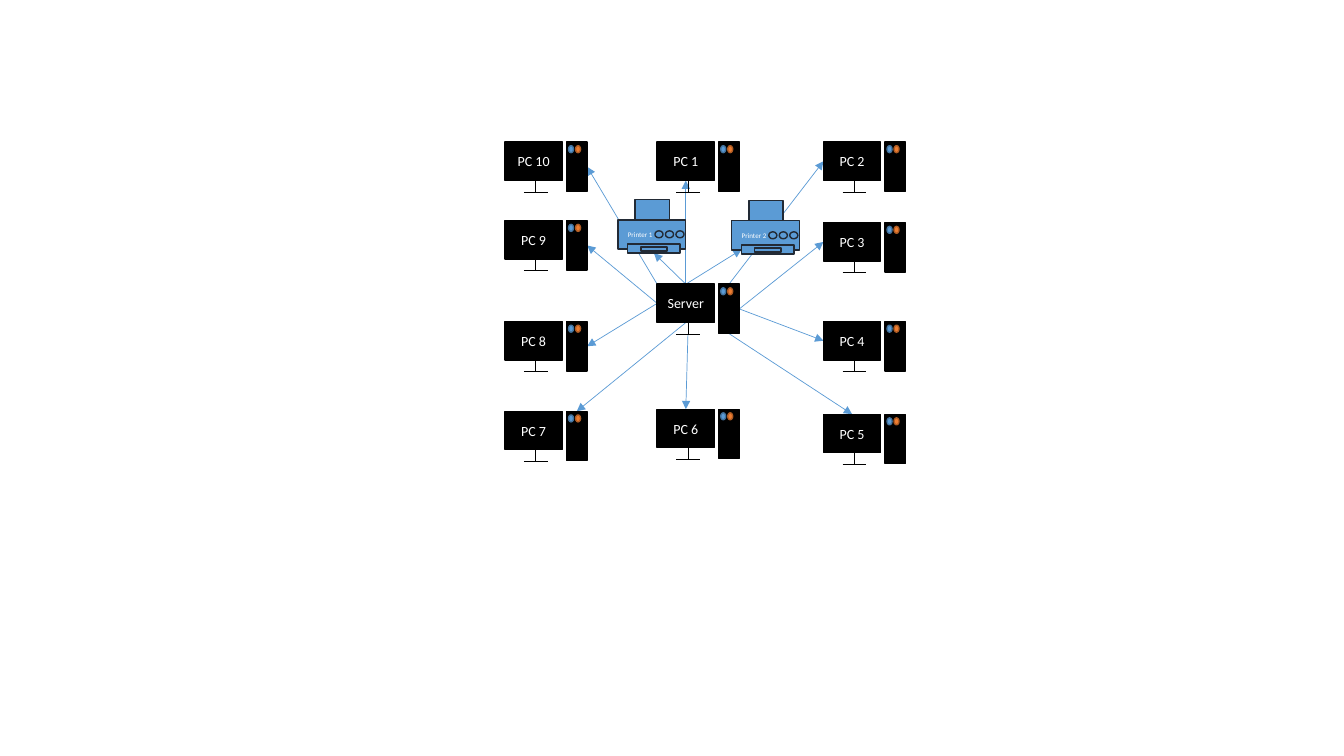
from dataclasses import dataclass
from typing import Any, Optional

from lxml.etree import SubElement
from pptx import Presentation
from pptx.dml.color import RGBColor
from pptx.enum.shapes import MSO_CONNECTOR as Line, MSO_SHAPE as Preset
from pptx.enum.text import MSO_ANCHOR as Anchor, PP_ALIGN as Align
from pptx.oxml.ns import qn
from pptx.shapes.autoshape import Shape
from pptx.shapes.connector import Connector
from pptx.util import Pt

BLACK = RGBColor(0x00, 0x00, 0x00)
WHITE = RGBColor(0xFF, 0xFF, 0xFF)
BLUE = RGBColor(0x5B, 0x9B, 0xD5)
DARK_BLUE = RGBColor(0x43, 0x73, 0x9E)
NAVY = RGBColor(0x22, 0x2A, 0x35)
ORANGE = RGBColor(0xED, 0x7D, 0x31)
BROWN = RGBColor(0xAF, 0x5C, 0x24)

TOP, LEFT, BOTTOM, RIGHT = range(4)
WEST, CENTRE, EAST = 360.7, 469.4, 588.2
SERVER_TOP = 203.0

SCREEN_FRAME = {"word_wrap": True, "vertical_anchor": Anchor.MIDDLE, "margin_left": 0, "margin_right": 0}
PRINTER_FRAME = {"word_wrap": True, "vertical_anchor": Anchor.MIDDLE}
SCREEN_FONT = {"name": "Calibri", "size": Pt(10)}
PRINTER_FONT = {"name": "Calibri", "size": Pt(5)}


@dataclass(frozen=True)
class Device:
    name: str
    x: float
    y: float


@dataclass(frozen=True)
class Box:
    x: float
    y: float
    width: float
    height: float


@dataclass(frozen=True)
class Paint:
    fill: RGBColor
    outline: RGBColor


@dataclass(frozen=True)
class Link:
    source: str
    source_side: Optional[int]
    target: str
    socket: str
    side: int
    x: float = 0
    y: float = 0


Pieces = dict[tuple[str, str], Shape]

CASE = Paint(BLACK, BLACK)
PLASTIC = Paint(BLUE, NAVY)

COMPUTERS = [
    Device("Server", CENTRE, SERVER_TOP),
    Device("PC 1", CENTRE, 101.5),
    Device("PC 2", EAST, 101.5),
    Device("PC 3", EAST, 159.1),
    Device("PC 4", EAST, 229.7),
    Device("PC 5", EAST, 295.9),
    Device("PC 6", CENTRE, 292.3),
    Device("PC 7", WEST, 293.8),
    Device("PC 8", WEST, 229.7),
    Device("PC 9", WEST, 157.7),
    Device("PC 10", WEST, 101.5),
]
PRINTERS = [Device("Printer 2", 522.7, 143.3), Device("Printer 1", 441.4, 142.6)]

LINKS = [
    Link("screen", TOP, "PC 1", "screen", BOTTOM),
    Link("tower", TOP, "PC 2", "screen", LEFT),
    Link("tower", RIGHT, "PC 3", "screen", LEFT),
    Link("tower", RIGHT, "PC 4", "screen", LEFT),
    Link("tower", BOTTOM, "PC 5", "screen", TOP),
    Link("base", None, "PC 6", "screen", TOP, CENTRE + 22, SERVER_TOP + 35.6),
    Link("screen", BOTTOM, "PC 7", "tower", TOP),
    Link("screen", LEFT, "PC 8", "tower", RIGHT),
    Link("screen", LEFT, "PC 9", "tower", RIGHT),
    Link("corner", None, "PC 10", "tower", RIGHT, CENTRE, SERVER_TOP),
    Link("screen", TOP, "Printer 1", "tray", BOTTOM),
    Link("screen", TOP, "Printer 2", "tray", LEFT),
]


def apply(target: Any, values: dict[str, Any]) -> None:
    for attribute, value in values.items():
        setattr(target, attribute, value)


def draw_piece(shapes: Any, device: Device, preset: Preset, box: Box, paint: Paint) -> Shape:
    piece = shapes.add_shape(preset, Pt(device.x + box.x), Pt(device.y + box.y),
                             Pt(box.width), Pt(box.height))
    piece.shadow.inherit = False
    piece.fill.solid()
    piece.fill.fore_color.rgb = paint.fill
    piece.line.color.rgb = paint.outline
    piece.line.width = Pt(1)
    return piece


def write_label(piece: Shape, label: str, frame: dict[str, Any], font: dict[str, Any], align: Align) -> None:
    apply(piece.text_frame, frame)
    paragraph = piece.text_frame.paragraphs[0]
    paragraph.alignment = align
    run = paragraph.add_run()
    run.text = label
    apply(run.font, font)
    run.font.color.rgb = WHITE


def draw_line(shapes: Any, start: tuple[float, float], end: tuple[float, float],
              color: RGBColor, arrow: bool = False) -> Connector:
    line = shapes.add_connector(Line.STRAIGHT, *map(Pt, start + end))
    line.line.color.rgb = color
    line.line.width = Pt(0.5)
    properties = line._element.spPr
    if arrow:
        SubElement(properties.find(qn("a:ln")), qn("a:tailEnd"), type="triangle")
    SubElement(properties, qn("a:effectLst"))
    return line


def draw_computer(slide_shapes: Any, computer: Device) -> Pieces:
    shapes = slide_shapes.add_group_shape().shapes
    screen = draw_piece(shapes, computer, Preset.RECTANGLE, Box(0, 0, 41, 27.4), CASE)
    write_label(screen, computer.name, SCREEN_FRAME, SCREEN_FONT, Align.CENTER)
    stand, floor = computer.x + 22, computer.y + 35.6
    draw_line(shapes, (stand, computer.y + 27.4), (stand, floor), BLACK)
    draw_line(shapes, (stand - 8.4, floor), (stand + 8.4, floor), BLACK)
    tower = draw_piece(shapes, computer, Preset.RECTANGLE, Box(43.9, 0, 14.8, 35.3), CASE)
    for light, paint in enumerate((Paint(BLUE, DARK_BLUE), Paint(ORANGE, BROWN))):
        draw_piece(shapes, computer, Preset.FLOWCHART_CONNECTOR,
                   Box(45.4 + 5 * light, 2.6, 3.6, 5), paint)
    return {(computer.name, "screen"): screen, (computer.name, "tower"): tower}


def draw_printer(slide_shapes: Any, printer: Device) -> Pieces:
    shapes = slide_shapes.add_group_shape().shapes
    paper, body, tray = (
        draw_piece(shapes, printer, Preset.FLOWCHART_PROCESS, box, PLASTIC)
        for box in (Box(12.2, 0, 24.5, 19.4), Box(0, 14.4, 48.2, 20.9), Box(7, 31.7, 37.4, 6.5))
    )
    write_label(body, printer.name, PRINTER_FRAME, PRINTER_FONT, Align.LEFT)
    for button in range(3):
        draw_piece(shapes, printer, Preset.FLOWCHART_CONNECTOR,
                   Box(26.4 + 7.5 * button, 22.3, 5.8, 5), PLASTIC)
    draw_piece(shapes, printer, Preset.FLOWCHART_PROCESS, Box(16.4, 33.8, 18.7, 2.9), PLASTIC)
    return {(printer.name, "tray"): tray}


def main() -> None:
    deck = Presentation()
    deck.slide_width, deck.slide_height = Pt(960), Pt(540)
    shapes = deck.slides.add_slide(deck.slide_layouts[6]).shapes

    cables = [draw_line(shapes, (link.x, link.y), (0, 0), BLUE, arrow=True) for link in LINKS]

    pieces: Pieces = {}
    for printer in PRINTERS:
        pieces.update(draw_printer(shapes, printer))
    for computer in COMPUTERS:
        pieces.update(draw_computer(shapes, computer))

    for cable, link in zip(cables, LINKS):
        if link.source_side is not None:
            cable.begin_connect(pieces["Server", link.source], link.source_side)
        cable.end_connect(pieces[link.target, link.socket], link.side)

    deck.save("out.pptx")


if __name__ == "__main__":
    main()
